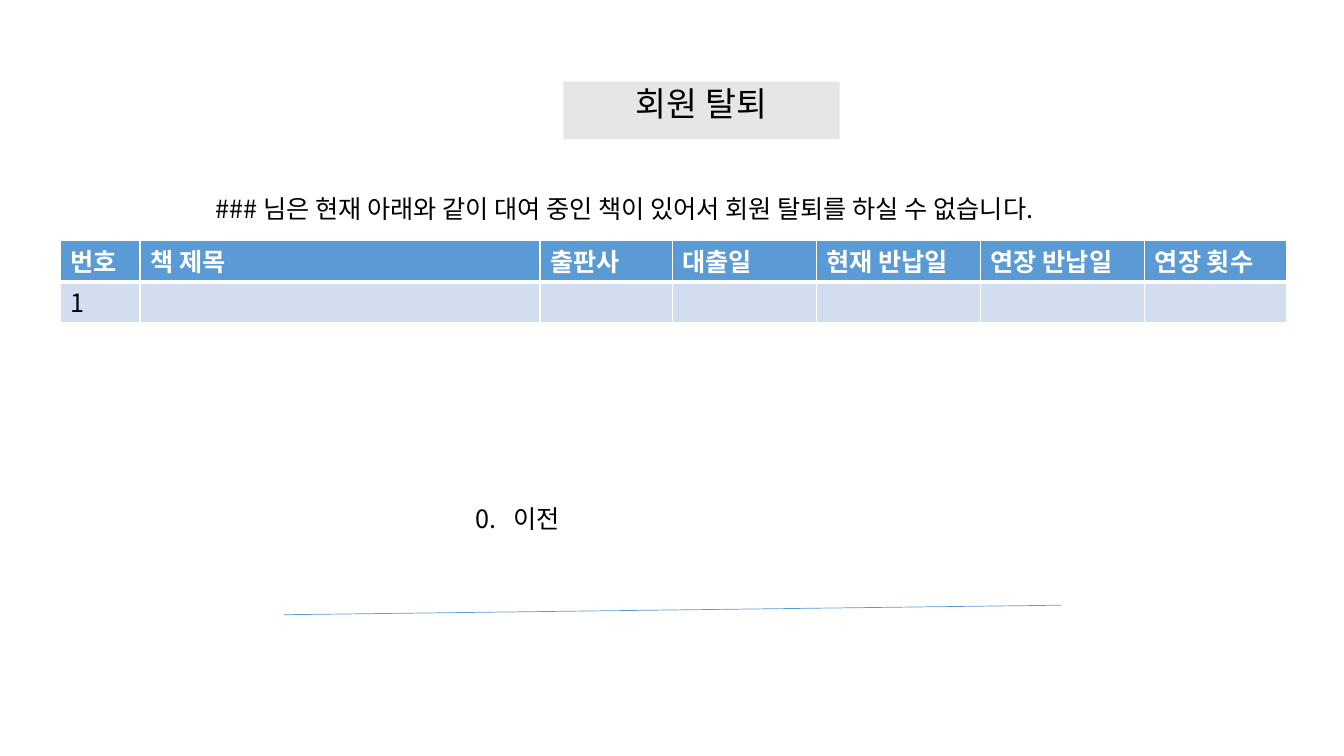
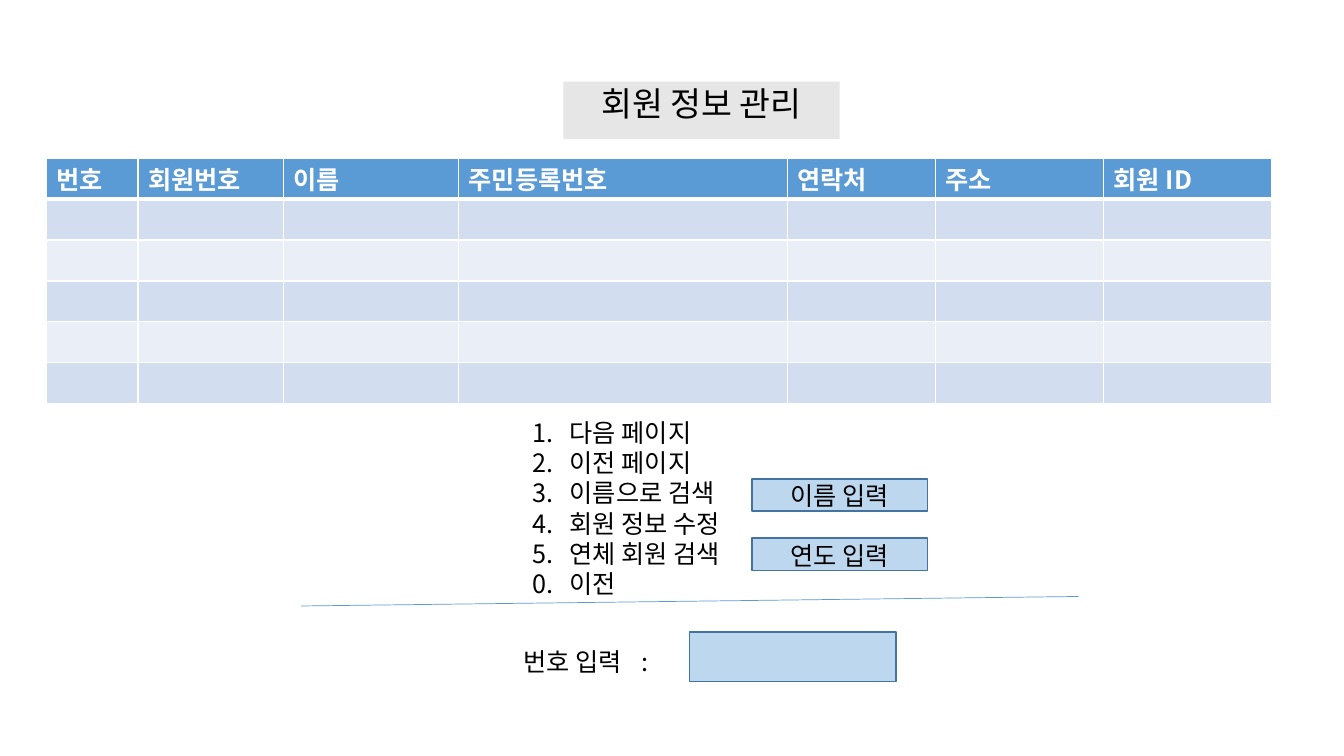
from dataclasses import dataclass

from lxml.etree import SubElement
from pptx import Presentation
from pptx.dml.color import RGBColor
from pptx.enum.shapes import MSO_CONNECTOR, MSO_SHAPE
from pptx.enum.text import MSO_ANCHOR as Anchor, PP_ALIGN as Align
from pptx.oxml.ns import qn
from pptx.shapes.autoshape import Shape
from pptx.slide import Slide
from pptx.util import Cm, Pt

# Shared style
FONT = "Noto Sans CJK KR"
BLACK = RGBColor(0x00, 0x00, 0x00)
WHITE = RGBColor(0xFF, 0xFF, 0xFF)
TITLE_GREY = RGBColor(0xE7, 0xE6, 0xE6)
BLUE = RGBColor(0x5B, 0x9B, 0xD5)
FIELD_BLUE = RGBColor(0xBD, 0xD7, 0xEE)
FIELD_EDGE = RGBColor(0x43, 0x73, 0x9E)
BANDS = (RGBColor(0xD2, 0xDE, 0xEF), RGBColor(0xEA, 0xEF, 0xF7))
BODY_SIZE, TITLE_SIZE = 18, 24
BODY_LINE, TITLE_LINE = 21.6, 25.9
MENU_INDENT = Cm(0.95)
ROW_HEIGHT = 1.03


@dataclass(frozen=True)
class Area:
    """A rectangle in centimetres."""
    left: float
    top: float
    width: float
    height: float

    def lengths(self) -> tuple[Cm, Cm, Cm, Cm]:
        return Cm(self.left), Cm(self.top), Cm(self.width), Cm(self.height)


@dataclass(frozen=True)
class Grid:
    """A table: place, column widths in centimetres, header and body rows."""
    left: float
    top: float
    columns: tuple[tuple[str, float], ...]
    rows: tuple[tuple[str, ...], ...]


# Text
def style_text(para, size: int = BODY_SIZE, line: float = BODY_LINE,
               color: RGBColor = BLACK, bold: bool = False) -> None:
    para.line_spacing = Pt(line)
    for span in para.runs:
        span.font.name = FONT
        span.font.size = Pt(size)
        span.font.bold = bold
        span.font.color.rgb = color
        SubElement(span.font._element, qn("a:ea"), typeface=FONT)


def add_text(page: Slide, area: Area, text: str, wrap: bool = True) -> Shape:
    box = page.shapes.add_textbox(*area.lengths())
    frame = box.text_frame
    frame.word_wrap = wrap
    frame.text = text
    for para in frame.paragraphs:
        style_text(para)
    return box


def add_menu(page: Slide, area: Area, items: tuple[str, ...]) -> None:
    """Numbered choices, closed by the choice that goes back."""
    box = add_text(page, area, "\n".join((*items, "0.\t이전")))
    for position, para in enumerate(box.text_frame.paragraphs):
        props = para._p.get_or_add_pPr()
        props.set("marL", str(MENU_INDENT))
        props.set("indent", str(-MENU_INDENT))
        if position < len(items):
            SubElement(props, qn("a:buFont"), typeface="+mj-lt")
            SubElement(props, qn("a:buAutoNum"), type="arabicPeriod")


# Shapes
def add_block(page: Slide, area: Area, fill: RGBColor) -> Shape:
    block = page.shapes.add_shape(MSO_SHAPE.RECTANGLE, *area.lengths())
    block.shadow.inherit = False
    block.fill.solid()
    block.fill.fore_color.rgb = fill
    block.line.fill.background()
    return block


def add_title(page: Slide, text: str) -> None:
    block = add_block(page, Area(14.2, 2.06, 6.96, 1.45), TITLE_GREY)
    frame = block.text_frame
    frame.vertical_anchor = Anchor.TOP
    frame.text = text
    para = frame.paragraphs[0]
    para.alignment = Align.CENTER
    style_text(para, TITLE_SIZE, TITLE_LINE)


def add_field(page: Slide, area: Area, prompt: str = "") -> None:
    field = add_block(page, area, FIELD_BLUE)
    field.line.color.rgb = FIELD_EDGE
    field.line.width = Pt(1)
    if prompt:
        frame = field.text_frame
        frame.margin_top, frame.margin_bottom = Cm(0.04), Cm(0)
        frame.vertical_anchor = Anchor.MIDDLE
        frame.text = prompt
        frame.paragraphs[0].alignment = Align.CENTER
        style_text(frame.paragraphs[0])


def add_rule(page: Slide, left: float, top: float) -> None:
    """The slightly rising line below the menu."""
    rule = page.shapes.add_connector(
        MSO_CONNECTOR.STRAIGHT,
        Cm(left), Cm(top), Cm(left + 19.59), Cm(top - 0.24))
    rule.line.color.rgb = BLUE
    rule.line.width = Pt(0.5)
    SubElement(rule._element.spPr, qn("a:effectLst"))


# Table
def add_borders(cell, top: float, bottom: float) -> None:
    props = cell._tc.get_or_add_tcPr()
    for side, width in (("L", 1), ("R", 1), ("T", top), ("B", bottom)):
        edge = SubElement(props, qn(f"a:ln{side}"), w=str(Pt(width)))
        fill = SubElement(edge, qn("a:solidFill"))
        SubElement(fill, qn("a:srgbClr"), val=str(WHITE))


def add_grid(page: Slide, grid: Grid) -> None:
    headings = tuple(heading for heading, _ in grid.columns)
    widths = tuple(width for _, width in grid.columns)
    rows = (headings, *grid.rows)
    area = Area(grid.left, grid.top, sum(widths), ROW_HEIGHT * len(rows))
    table = page.shapes.add_table(
        len(rows), len(widths), *area.lengths()).table
    for column, width in zip(table.columns, widths):
        column.width = Cm(width)
    for index, texts in enumerate(rows):
        header = index == 0
        table.rows[index].height = Cm(ROW_HEIGHT)
        for cell, text in zip(table.rows[index].cells, texts):
            cell.margin_top, cell.margin_bottom = Cm(0.2), Cm(0.05)
            add_borders(cell, 3 if index == 1 else 1, 3 if header else 1)
            cell.fill.solid()
            cell.fill.fore_color.rgb = BLUE if header else BANDS[(index - 1) % 2]
            if text:
                cell.text_frame.text = text
                style_text(cell.text_frame.paragraphs[0],
                           color=WHITE if header else BLACK, bold=header)


# Pages
LOANS = Grid(1.52, 6.07, (
    ("번호", 2.01), ("책 제목", 10.08), ("출판사", 3.33), ("대출일", 3.63),
    ("현재 반납일", 4.14), ("연장 반납일", 4.14), ("연장 횟수", 3.58),
), (("1",) + ("",) * 6,))

MEMBERS = Grid(1.17, 3.99, (
    ("번호", 2.31), ("회원번호", 3.66), ("이름", 4.42), ("주민등록번호", 8.28),
    ("연락처", 3.73), ("주소", 4.24), ("회원 ID", 4.24),
), (("",) * 7,) * 5)


def build_withdrawal(page: Slide) -> None:
    add_title(page, "회원 탈퇴")
    add_menu(page, Area(11.73, 12.55, 9.42, 1.02), ())
    add_rule(page, 7.16, 15.49)
    add_text(page, Area(5.18, 4.75, 24.16, 1.02),
             "### 님은 현재 아래와 같이 대여 중인 책이 있어서 "
             "회원 탈퇴를 하실 수 없습니다.")
    add_grid(page, LOANS)


def build_members(page: Slide) -> None:
    add_title(page, "회원 정보 관리")
    add_menu(page, Area(13.16, 10.39, 9.42, 4.88),
             ("다음 페이지", "이전 페이지", "이름으로 검색",
              "회원 정보 수정", "연체 회원 검색"))
    label = add_text(page, Area(12.95, 16.15, 7.32, 1.02),
                     "번호 입력\t:", wrap=False)
    props = label.text_frame.paragraphs[0]._p.get_or_add_pPr()
    stops = SubElement(props, qn("a:tabLst"))
    SubElement(stops, qn("a:tab"), pos=str(Cm(2.97)), algn="l")
    add_rule(page, 7.59, 15.27)
    add_field(page, Area(17.37, 15.93, 5.21, 1.24))
    add_grid(page, MEMBERS)
    for top, prompt in ((12.07, "이름 입력"), (13.56, "연도 입력")):
        add_field(page, Area(18.95, top, 4.42, 0.81), prompt)


def main() -> None:
    deck = Presentation()
    deck.slide_width, deck.slide_height = Cm(33.87), Cm(19.05)
    blank = deck.slide_layouts[6]
    for build in (build_withdrawal, build_members):
        build(deck.slides.add_slide(blank))
    deck.save("out.pptx")


if __name__ == "__main__":
    main()
